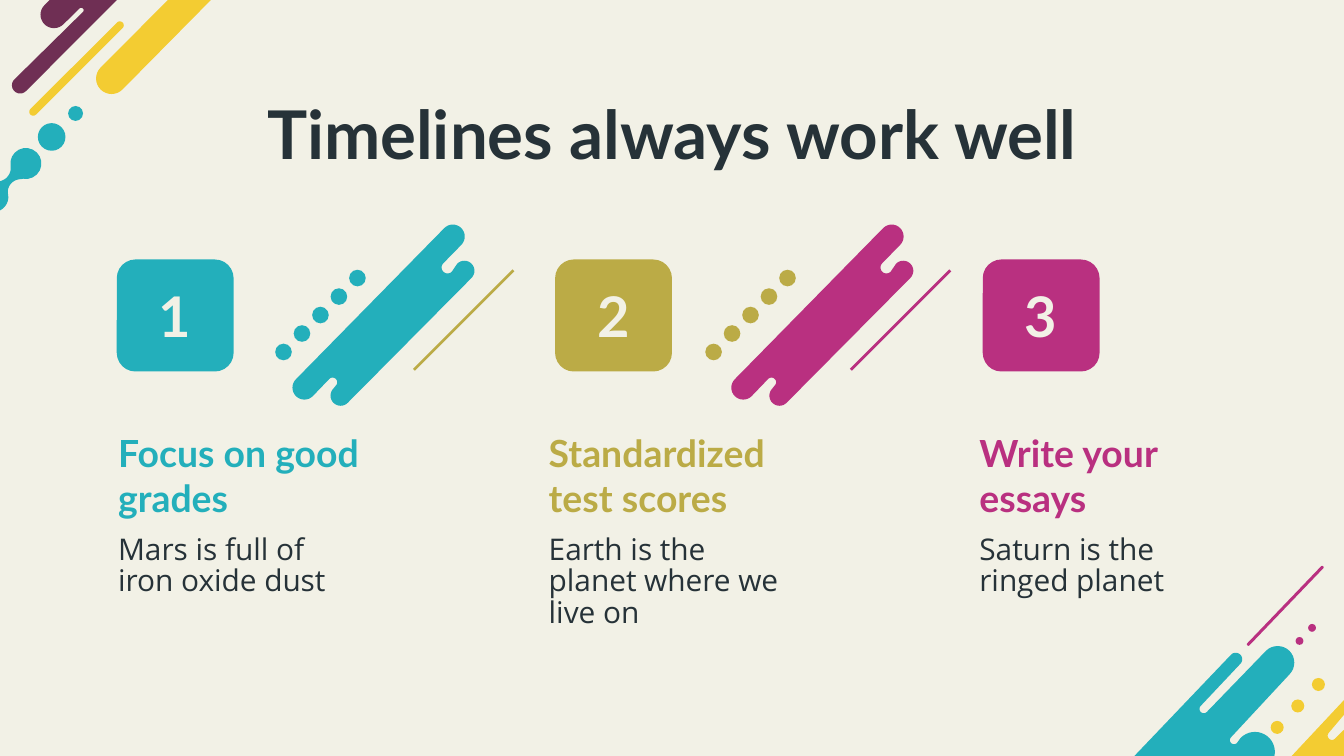
"""Build a three-step timeline slide with slanted ornaments in its corners."""
from math import cos, radians, sin

from lxml.etree import SubElement
from pptx import Presentation
from pptx.dml.color import RGBColor
from pptx.enum.shapes import MSO_CONNECTOR, MSO_SHAPE
from pptx.enum.text import MSO_ANCHOR, PP_ALIGN
from pptx.oxml.ns import qn
from pptx.util import Pt

CREAM = RGBColor(0xF2, 0xF1, 0xE6)
INK = RGBColor(0x26, 0x32, 0x38)
TEAL = RGBColor(0x23, 0xAF, 0xBB)
OLIVE = RGBColor(0xBB, 0xAB, 0x46)
PINK = RGBColor(0xB9, 0x30, 0x80)
PLUM = RGBColor(0x6F, 0x2F, 0x54)
YELLOW = RGBColor(0xF3, 0xCC, 0x32)
WIDTH, HEIGHT = 720, 405

STEPS = [
    ("1", 62.6, TEAL, "Focus on good grades", "Mars is full of iron oxide dust"),
    ("2", 297.4, OLIVE, "Standardized test scores", "Earth is the planet where we live on"),
    ("3", 526.5, PINK, "Write your essays", "Saturn is the ringed planet"),
]
SPLASH = [
    (242.6, 126.7, 6.4, 225, 405), (239.8, 143.3, 3.2, 225, 45),
    (248.8, 145.1, 5.4, 225, 405), (182.5, 212, 5.4, 45, 225),
    (178.2, 204.8, 2.5, 45, -135), (163.1, 207.7, 6.4, 45, 225),
]
LINKS = [
    (TEAL, 151.9, TEAL, 0, OLIVE, 221.8),
    (OLIVE, 382.3, PINK, 235.1, PINK, 455.8),
]


def write(shape, text, size=16, font="Lato", color=INK, bold=True,
          align=PP_ALIGN.LEFT, anchor=MSO_ANCHOR.TOP, space=1.0):
    """Put one formatted paragraph into a shape."""
    frame = shape.text_frame
    frame.word_wrap = True
    frame.vertical_anchor = anchor
    frame.margin_left = frame.margin_right = Pt(7.2)
    frame.margin_top = frame.margin_bottom = Pt(7.2)
    par = frame.paragraphs[0]
    par.alignment = align
    par.line_spacing = space
    run = par.add_run()
    run.text = text
    run.font.size = Pt(size)
    run.font.name = font
    run.font.bold = bold
    run.font.color.rgb = color


def trace(x, y, r=0, start=0, end=0, count=16):
    """Return the points of an arc, or one corner when it has no radius."""
    if not r:
        return [(Pt(x), Pt(y))]
    turns = [radians(start + (end - start) * i / count) for i in range(count + 1)]
    return [(Pt(x + r * cos(a)), Pt(y + r * sin(a))) for a in turns]


class Deck:
    """Hold the slide and draw its kinds of element in one flat style."""

    def __init__(self):
        self.show = Presentation()
        self.show.slide_width, self.show.slide_height = Pt(WIDTH), Pt(HEIGHT)
        self.slide = self.show.slides.add_slide(self.show.slide_layouts[6])
        self.shapes = self.slide.shapes
        fill = self.slide.background.fill
        fill.solid()
        fill.fore_color.rgb = CREAM

    def paint(self, shape, color):
        shape.shadow.inherit = False
        shape.fill.solid()
        shape.fill.fore_color.rgb = color
        shape.line.fill.background()
        return shape

    def label(self, x, y, w, h, text, **style):
        write(self.shapes.add_textbox(Pt(x), Pt(y), Pt(w), Pt(h)), text, **style)

    def badge(self, x, y, w, h, text, color):
        box = self.shapes.add_shape(
            MSO_SHAPE.ROUNDED_RECTANGLE, Pt(x), Pt(y), Pt(w), Pt(h))
        box.adjustments[0] = 0.167
        write(self.paint(box, color), text, size=30, color=CREAM,
              align=PP_ALIGN.CENTER, anchor=MSO_ANCHOR.MIDDLE)

    def dot(self, x, y, r, color):
        oval = self.shapes.add_shape(
            MSO_SHAPE.OVAL, Pt(x - r), Pt(y - r), Pt(2 * r), Pt(2 * r))
        self.paint(oval, color)

    def streak(self, color, arcs, shift=0):
        points = [p for x, *rest in arcs for p in trace(x + shift, *rest)]
        pen = self.shapes.build_freeform(*points[0])
        pen.add_line_segments(points[1:], close=True)
        self.paint(pen.convert_to_shape(), color)

    def rule(self, x1, y1, x2, y2, color):
        line = self.shapes.add_connector(
            MSO_CONNECTOR.STRAIGHT, Pt(x1), Pt(y1), Pt(x2), Pt(y2))
        line.line.color.rgb = color
        line.line.width = Pt(1.5)
        SubElement(line._element.spPr, qn("a:effectLst"))

    def corners(self):
        for i in range(3):
            self.dot(684.2 + 11.05 * i, 389.7 - 11.5 * i, 3.5, YELLOW)
        self.streak(YELLOW, [
            (692, HEIGHT), (WIDTH, 375.1), (WIDTH, 383),
            (713.6, 394.1, 2.3, 225, 45), (WIDTH, 391), (WIDTH, HEIGHT)])
        self.streak(TEAL, [
            (607.7, HEIGHT), (662, 353.2, 3.5, 225, 405),
            (644.9, 379.8, 2.3, 225, 45), (684.5, 355, 8.9, 225, 405),
            (661.1, 396.5, 2.2, 225, 45), (672.3, 402.8, 10.7, 225, 372)])
        self.dot(702.9, 336.4, 2.1, PINK)
        self.dot(696.2, 343.4, 2.1, PINK)
        self.streak(PINK, [(708.3, 304, 0.8, 225, 405), (668.8, 345.2, 0.8, 45, 225)])
        self.streak(TEAL, [
            (0, 97.2), (-1.4, 90, 7.2, 78, -5), (13.9, 87.6, 8.3, 170, 460),
            (11.2, 103, 7, 270, 180), (-3.6, 105.5, 8.1, 0, 63)])
        self.streak(YELLOW, [(90, 0), (59.8, 42.1, 8.3, 225, 45), (113, 0)])
        self.streak(PLUM, [
            (26.6, 0), (28.9, 7.9, 7.2, 225, 45), (43.5, 5.5, 1.3, 225, 405),
            (10.8, 45.7, 4.4, 225, 45), (62.6, 0)])
        self.dot(27.7, 73.4, 7.4, TEAL)
        self.dot(40.5, 60.8, 4, TEAL)
        self.streak(YELLOW, [(64.2, 13.6, 2.1, 225, 405), (17.8, 59.9, 2.1, 45, 225)])

    def steps(self):
        for i, (mark, x, color, head, body) in enumerate(STEPS):
            left = 56.2 + 230.7 * i
            self.label(left, 234, 146.2, 41, head, size=20, color=color,
                       anchor=MSO_ANCHOR.MIDDLE)
            self.label(left, 279.4, 146.2, 43.2, body, font="Open Sans",
                       bold=False, space=0.88)
            self.badge(x, 139, 62.6, 60, mark, color)

    def links(self):
        for dots, x, splash, shift, line, left in LINKS:
            for i in range(5):
                self.dot(x + 9.9 * i, 188.6 - 9.9 * i, 4.45, dots)
            self.streak(splash, SPLASH, shift)
            self.rule(left, 198.1, left + 53.3, 144.8, line)


def main():
    deck = Deck()
    deck.corners()
    deck.label(56.2, 42.5, 607.6, 48.2, "Timelines always work well", size=36,
               align=PP_ALIGN.CENTER)
    deck.steps()
    deck.links()
    deck.show.save("out.pptx")


if __name__ == "__main__":
    main()
